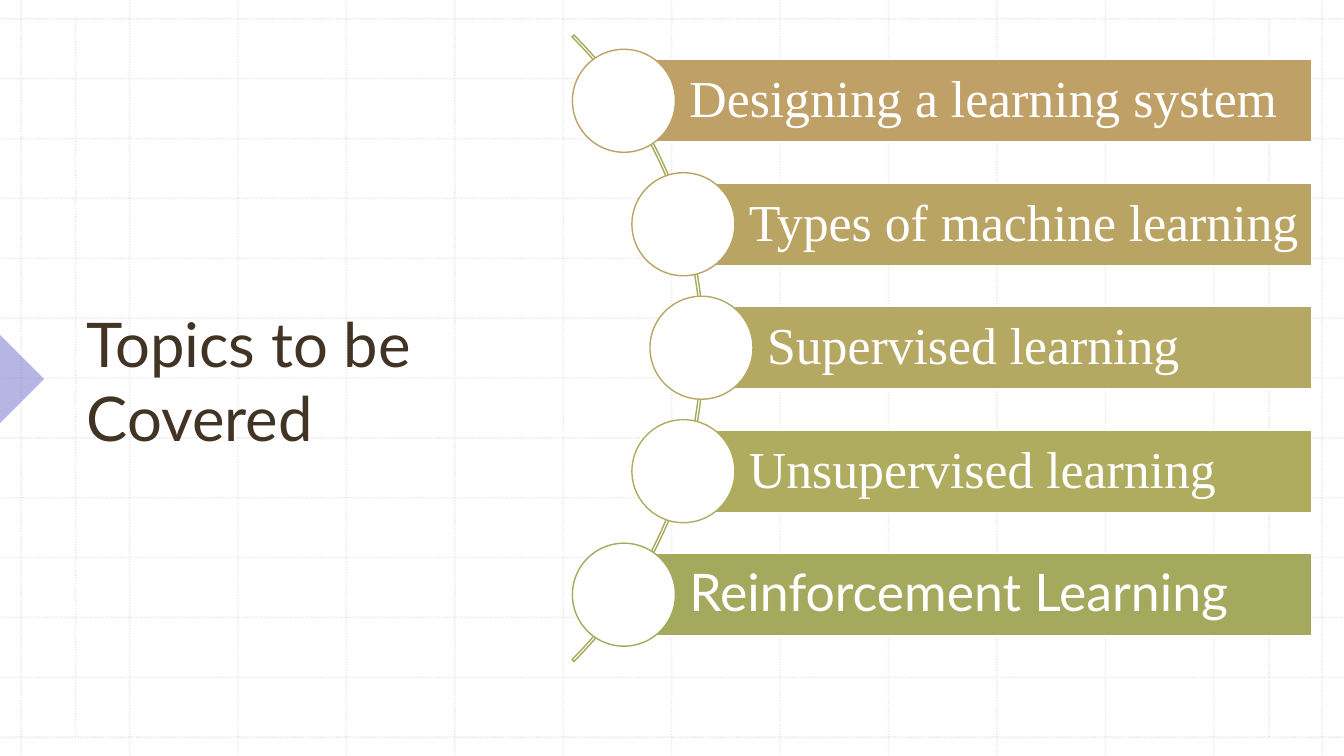
from dataclasses import dataclass

from pptx import Presentation
from pptx.dml.color import RGBColor
from pptx.enum.dml import MSO_LINE
from pptx.enum.shapes import MSO_CONNECTOR, MSO_SHAPE
from pptx.enum.text import MSO_ANCHOR, PP_ALIGN
from pptx.oxml.ns import qn
from pptx.util import Pt
from lxml import etree

STRAIGHT = MSO_CONNECTOR.STRAIGHT
DOTTED = MSO_LINE.ROUND_DOT
RECTANGLE = MSO_SHAPE.RECTANGLE
OVAL = MSO_SHAPE.OVAL
BLOCK_ARC = MSO_SHAPE.BLOCK_ARC
RIGHT_TRIANGLE = MSO_SHAPE.RIGHT_TRIANGLE
MIDDLE = MSO_ANCHOR.MIDDLE
LEFT = PP_ALIGN.LEFT


@dataclass(frozen=True)
class Theme:
    white: str = "FFFFFF"
    grid: str = "BCBCBC"
    marker: str = "6F6FCA"
    title: str = "413424"
    arc: str = "A5A95D"
    sans: str = "Lato"
    serif: str = "Times New Roman"
    title_size: int = 44
    topic_size: int = 37


THEME = Theme()
PAGE_WIDTH, PAGE_HEIGHT = 960, 540
GRID_LEFT, GRID_TOP = 15.12, 13.5
COLUMN_STEP, ROW_STEP = 77.44, 42.75
GRID_LINES = 13
MARGIN_LINES = (54, 906.5)
FIRST_CENTER, TOPIC_STEP = 72, 88.2
BAR_RIGHT, BAR_HEIGHT, CIRCLE_SIZE = 936.7, 59, 73.6

# Topic, left edge of its bar, colour, font
TOPICS = (
    ("Designing a learning system", 445.7, "BFA067", THEME.serif),
    ("Types of machine learning", 488.2, "BAA464", THEME.serif),
    ("Supervised learning", 501.1, "B4A862", THEME.serif),
    ("Unsupervised learning", 488.2, "AFAB5F", THEME.serif),
    ("Reinforcement Learning", 445.7, "A5A95D", THEME.sans),
)


def set_opacity(parent, percent):
    """Make the solid colour found inside an XML element translucent."""
    color = next(parent.iter(qn("a:srgbClr")))
    etree.SubElement(color, qn("a:alpha")).set("val", str(percent * 1000))


def add_grid_line(page, x1, y1, x2, y2):
    connector = page.shapes.add_connector(STRAIGHT, Pt(x1), Pt(y1), Pt(x2), Pt(y2))
    connector.line.color.rgb = RGBColor.from_string(THEME.grid)
    connector.line.width = Pt(1)
    connector.line.dash_style = DOTTED
    properties = connector._element.spPr
    set_opacity(properties, 30)
    etree.SubElement(properties, qn("a:effectLst"))


def add_grid(page):
    for index in range(GRID_LINES):
        x = GRID_LEFT + index * COLUMN_STEP
        y = GRID_TOP + index * ROW_STEP
        add_grid_line(page, x, 0, x, PAGE_HEIGHT)
        add_grid_line(page, 0, y, PAGE_WIDTH, y)
    for x in MARGIN_LINES:
        add_grid_line(page, x, GRID_TOP, x, PAGE_HEIGHT - GRID_TOP)


def add_figure(page, kind, left, top, width, height, fill=None, line=None):
    figure = page.shapes.add_shape(kind, Pt(left), Pt(top), Pt(width), Pt(height))
    figure.shadow.inherit = False
    if fill:
        figure.fill.solid()
        figure.fill.fore_color.rgb = RGBColor.from_string(fill)
    else:
        figure.fill.background()
    if line:
        figure.line.color.rgb = RGBColor.from_string(line)
        figure.line.width = Pt(1)
    else:
        figure.line.fill.background()
    return figure


def write_text(box, text, *, font, size, color, inset=7.2, spacing=1.0):
    frame = box.text_frame
    frame.word_wrap = True
    frame.vertical_anchor = MIDDLE
    frame.margin_left = Pt(inset)
    para = frame.paragraphs[0]
    para.alignment = LEFT
    para.line_spacing = spacing
    span = para.add_run()
    span.text = text
    span.font.name = font
    span.font.size = Pt(size)
    span.font.color.rgb = RGBColor.from_string(color)


def add_marker(page):
    """Point a translucent triangle inwards from the left edge."""
    marker = add_figure(page, RIGHT_TRIANGLE, -22.3, 248.4, 44.6, 44.6, fill=THEME.marker)
    marker.rotation = 225
    set_opacity(marker._element.spPr, 50)


def add_title(page):
    box = page.shapes.add_textbox(Pt(54.7), Pt(56.9), Pt(270), Pt(428.4))
    write_text(box, "Topics to be Covered", font=THEME.sans,
               size=THEME.title_size, color=THEME.title)


def add_arc(page):
    arc = add_figure(page, BLOCK_ARC, -130.3, -67.7, 632.9, 632.9, line=THEME.arc)
    # Start and end angles of 315 and 45 degrees, then the relative thickness
    for index, value in enumerate((189, 27, 0.003)):
        arc.adjustments[index] = value


def add_topic(page, center, text, left, color, font):
    bar = add_figure(page, RECTANGLE, left, center - BAR_HEIGHT / 2,
                     BAR_RIGHT - left, BAR_HEIGHT, fill=color, line=THEME.white)
    write_text(bar, text, font=font, size=THEME.topic_size,
               color=THEME.white, inset=46.8, spacing=0.9)
    radius = CIRCLE_SIZE / 2
    add_figure(page, OVAL, left - radius, center - radius,
               CIRCLE_SIZE, CIRCLE_SIZE, fill=THEME.white, line=color)


def main():
    deck = Presentation()
    deck.slide_width, deck.slide_height = Pt(PAGE_WIDTH), Pt(PAGE_HEIGHT)
    page = deck.slides.add_slide(deck.slide_layouts[6])
    add_grid(page)
    add_marker(page)
    add_title(page)
    add_arc(page)
    for index, topic in enumerate(TOPICS):
        add_topic(page, FIRST_CENTER + index * TOPIC_STEP, *topic)
    deck.save("out.pptx")


if __name__ == "__main__":
    main()
